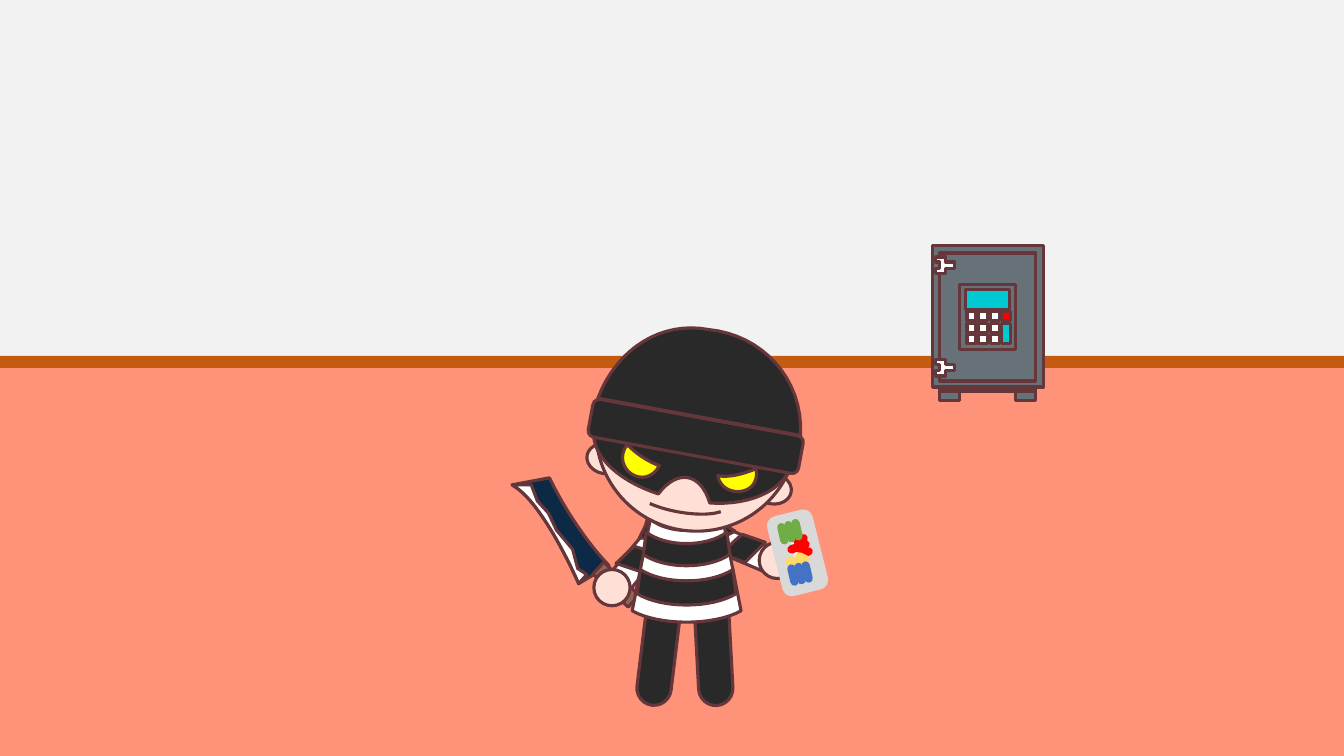
from itertools import pairwise, product
from lxml.etree import SubElement
from pptx import Presentation
from pptx.dml.color import RGBColor
from pptx.enum.shapes import MSO_CONNECTOR, MSO_SHAPE
from pptx.oxml.ns import qn
from pptx.util import Inches, Pt

WALL = RGBColor(0xF2, 0xF2, 0xF2)
FLOOR = RGBColor(0xFF, 0x93, 0x7A)
SKIRTING = RGBColor(0xC5, 0x5A, 0x11)
INK = RGBColor(0x65, 0x36, 0x3A)
STEEL = RGBColor(0x67, 0x72, 0x78)
WHITE = RGBColor(0xFF, 0xFF, 0xFF)
RED = RGBColor(0xFF, 0x00, 0x00)
CYAN = RGBColor(0x00, 0xCA, 0xD1)
SKIN = RGBColor(0xFF, 0xE0, 0xD6)
BLACK = RGBColor(0x29, 0x29, 0x29)
CARD = RGBColor(0xD9, 0xD9, 0xD9)
SAND = RGBColor(0xFF, 0xD9, 0x66)
BLUE = RGBColor(0x44, 0x72, 0xC4)
GREEN = RGBColor(0x70, 0xAD, 0x47)
NAVY = RGBColor(0x0C, 0x2A, 0x46)
WOOD = RGBColor(0x92, 0x65, 0x53)
YELLOW = RGBColor(0xFF, 0xFF, 0x00)
TILT = 10.4
CURVE_STEPS = 16


def paint(shape, fill, line=INK, weight=2.25):
    """Give a shape its fill and outline; None leaves either one out."""
    shape.shadow.inherit = False
    if fill is None:
        shape.fill.background()
    else:
        shape.fill.solid()
        shape.fill.fore_color.rgb = fill
    if line is None:
        shape.line.fill.background()
    else:
        shape.line.color.rgb = line
        shape.line.width = Pt(weight)


def preset(parent, box, kind, place, fill, rotation=0, **border):
    """Add a preset shape at (left, top, width, height) inside the box."""
    left, top, width, height = place
    shape = parent.shapes.add_shape(kind, Inches(box[0] + left), Inches(box[1] + top),
                                    Inches(width), Inches(height))
    shape.rotation = rotation
    paint(shape, fill, **border)
    return shape


def curve(start, bend):
    """Return points along a cubic curve from start, given its six numbers."""
    stops = [start, bend[:2], bend[2:4], bend[4:]]
    points = []
    for step in range(1, CURVE_STEPS + 1):
        t = step / CURVE_STEPS
        weights = ((1 - t) ** 3, 3 * t * (1 - t) ** 2, 3 * t * t * (1 - t), t ** 3)
        points.append(tuple(sum(w * stop[axis] for w, stop in zip(weights, stops)) for axis in (0, 1)))
    return points


def outline(parent, box, steps, fill):
    """Add a closed outline; pairs are corners and six numbers are a curve."""
    points = [steps[0]]
    for step in steps[1:]:
        points += [step] if len(step) == 2 else curve(points[-1], step)
    corners = [(Inches(box[0] + x), Inches(box[1] + y)) for x, y in points]
    builder = parent.shapes.build_freeform(*corners[0])
    builder.add_line_segments(corners[1:], close=True)
    paint(builder.convert_to_shape(), fill)


def stroke(parent, box, points, color):
    """Draw thick round-ended lines from point to point."""
    for start, end in pairwise(points):
        ends = [Inches(box[axis] + point[axis]) for point in (start, end) for axis in (0, 1)]
        line = parent.shapes.add_connector(MSO_CONNECTOR.STRAIGHT, *ends)
        line.line.color.rgb = color
        line.line.width = Pt(6)
        properties = line._element.spPr
        properties.find(qn("a:ln")).set("cap", "rnd")
        SubElement(properties, qn("a:effectLst"))


def draw_room(page, box):
    """Draw the floor, the wall and the skirting board."""
    for top, height, fill in ((3.63, 3.87, FLOOR), (0, 3.63, WALL), (3.53, 0.12, SKIRTING)):
        preset(page, box, MSO_SHAPE.RECTANGLE, (0, top, 13.33, height), fill, line=None)


def draw_safe(page, box):
    """Draw the safe with its keypad, feet and hinges."""
    safe = page.shapes.add_group_shape()
    panels = [((0, 0, 1.1, 1.4), STEEL), ((0.07, 0.07, 0.95, 1.27), STEEL), ((0.27, 0.38, 0.55, 0.65), STEEL)]
    panels += [((0.34 + 0.115 * column, 0.65 + 0.115 * row, 0.09, 0.09), WHITE)
               for column, row in product(range(3), repeat=2)]
    panels += [((0.68, 0.65, 0.09, 0.09), RED), ((0.68, 0.77, 0.09, 0.2), CYAN), ((0.33, 0.43, 0.43, 0.2), CYAN)]
    panels += [((0.07, 1.41, 0.95, 0.03), STEEL)]
    panels += [((left, 1.44, 0.2, 0.09), STEEL) for left in (0.07, 0.82)]
    for place, fill in panels:
        preset(safe, box, MSO_SHAPE.RECTANGLE, place, fill)
    upper = [(0.04, 0.05), (0, 0.05), (0, 0), (0.1, 0), (0.1, 0.05), (0.19, 0.05)]
    hinge = upper + [(x, 0.16 - y) for x, y in reversed(upper)]
    for top in (0.11, 1.13):
        outline(safe, (box[0] + 0.03, box[1] + top), hinge, WHITE)


def draw_card_arm(page, box):
    """Draw the striped arm that holds the card."""
    arm = page.shapes.add_group_shape()
    sleeve = preset(arm, box, MSO_SHAPE.ROUNDED_RECTANGLE, (1.72, 2.28, 1.1, 0.25), WHITE, 23)
    sleeve.adjustments[0] = 0.5
    preset(arm, box, MSO_SHAPE.OVAL, (2.53, 2.38, 0.36, 0.36), SKIN)
    outline(arm, box, [(2.08, 2.14), (2.29, 2.27), (2.01, 2.41), (1.82, 2.24)], BLACK)
    outline(arm, box, [(2.36, 2.3), (2.15, 2.49), (2.39, 2.58), (2.59, 2.38)], BLACK)


def draw_card(page, box):
    """Draw the grey card with its scribbles."""
    card = page.shapes.add_group_shape()
    preset(card, box, MSO_SHAPE.RECTANGLE, (0.1, 0.35, 0.62, 0.27), WHITE, 76, line=CARD, weight=14)
    stroke(card, box, [(0.47, 0.34), (0.41, 0.36), (0.46, 0.49), (0.52, 0.47)], RED)
    stroke(card, box, [(0.49, 0.4), (0.35, 0.45)], RED)
    stroke(card, box, [(0.43, 0.52), (0.49, 0.55), (0.33, 0.57)], SAND)
    for left, top, slope, color in ((0.35, 0.64, 0.015, BLUE), (0.25, 0.23, 0.02, GREEN)):
        for column in range(3):
            x, y = left + 0.07 * column, top - slope * column
            stroke(card, box, [(x, y), (x + 0.03, y + 0.13)], color)


def draw_knife_arm(page, box):
    """Draw the striped arm, the knife and the hand around its handle."""
    arm = page.shapes.add_group_shape()
    outline(arm, box, [(1.47, 1.96), (1.38, 2.3), (0.97, 2.78), (1.19, 2.92), (1.6, 2.43), (1.79, 1.93)], WHITE)
    outline(arm, box, [(1.29, 2.42), (1.55, 2.5), (1.38, 2.68), (1.11, 2.59)], BLACK)
    outline(arm, box, [(1.45, 2.12), (1.72, 2.1), (1.63, 2.33), (1.34, 2.34)], BLACK)
    tip = (0.08, 1.81)
    edge = [(0.74, 2.79), (0.55, 2.36, 0.3, 1.95, 0.11, 1.83)]
    outline(arm, box, [tip, (0.45, 1.74), (0.6, 2.05, 0.82, 2.38, 1.04, 2.61)] + edge, NAVY)
    ripple = [(0.27, 1.81), (0.33, 1.97), (0.44, 2.09), (0.52, 2.26), (0.68, 2.45), (0.73, 2.64), (0.82, 2.7)]
    outline(arm, box, [tip] + ripple + edge, WHITE)
    preset(arm, box, MSO_SHAPE.RECTANGLE, (1.03, 2.56, 0.16, 0.48), WOOD, 313.1)
    preset(arm, box, MSO_SHAPE.OVAL, (0.89, 2.65, 0.36, 0.36), SKIN)


def draw_body(page, box):
    """Draw the legs and the striped shirt."""
    for left, rotation in ((1.91, 176.9), (1.36, 187)):
        leg = preset(page, box, MSO_SHAPE.ROUND_2_SAME_RECTANGLE, (left, 2.95, 0.34, 1.05), BLACK, rotation)
        leg.adjustments[0] = 0.5
    shirt = page.shapes.add_group_shape()
    middle, sag = 1.81, 0.15
    for top, height, upper, lower, fill in ((2.15, 0.91, 0.36, 0.54, WHITE), (2.65, 0.24, 0.46, 0.49, BLACK),
                                            (2.28, 0.22, 0.4, 0.43, BLACK)):
        bottom = top + height
        outline(shirt, box, [
            (middle - upper, top),
            (middle - upper / 2, top + sag, middle + upper / 2, top + sag, middle + upper, top),
            (middle + lower, bottom),
            (middle + lower / 2, bottom + sag, middle - lower / 2, bottom + sag, middle - lower, bottom)], fill)


def draw_head(page, box):
    """Draw the tilted head with its mask, eyes and cap."""
    head = page.shapes.add_group_shape()
    for place in ((2.48, 1.7, 0.37, 0.3), (0.82, 1.4, 0.37, 0.3), (0.91, 0.27, 2, 2)):
        preset(head, box, MSO_SHAPE.OVAL, place, SKIN, TILT)
    mouth = preset(head, box, MSO_SHAPE.ARC, (1.28, 1.79, 0.94, 0.29), None, TILT)
    mouth.adjustments[0], mouth.adjustments[1] = 5.42, 95.02
    outline(head, box, [(0.9, 1.2), (2.87, 1.48), (2.87, 1.85, 2.45, 2.02, 2.04, 1.99),
                        (1.95, 1.69, 1.72, 1.65, 1.53, 1.9), (1.1, 1.76, 0.82, 1.48, 0.9, 1.2)], BLACK)
    outline(head, box, [(2.12, 1.72), (2.24, 1.74, 2.38, 1.7, 2.5, 1.65),
                        (2.55, 1.93, 2.16, 1.95, 2.12, 1.72)], YELLOW)
    outline(head, box, [(1.54, 1.62), (1.43, 1.58, 1.32, 1.51, 1.22, 1.41),
                        (1.05, 1.65, 1.4, 1.88, 1.54, 1.62)], YELLOW)
    outline(head, box, [(0.93, 0.95), (1.12, 0.45, 1.57, 0.18, 2.03, 0.27),
                        (2.55, 0.32, 2.97, 0.75, 2.94, 1.32)], BLACK)
    preset(head, box, MSO_SHAPE.ROUNDED_RECTANGLE, (0.84, 1.14, 2.12, 0.38), BLACK, TILT)


def main():
    """Build the deck with the thief in the room."""
    deck = Presentation()
    deck.slide_width, deck.slide_height = Inches(13.33), Inches(7.5)
    page = deck.slides.add_slide(deck.slide_layouts[6])
    draw_room(page, (0, 0))
    draw_safe(page, (9.25, 2.44))
    thief = (5, 3)
    draw_card_arm(page, thief)
    draw_card(page, (7.5, 5))
    for draw_part in (draw_knife_arm, draw_body, draw_head):
        draw_part(page, thief)
    deck.save("out.pptx")


if __name__ == "__main__":
    main()
